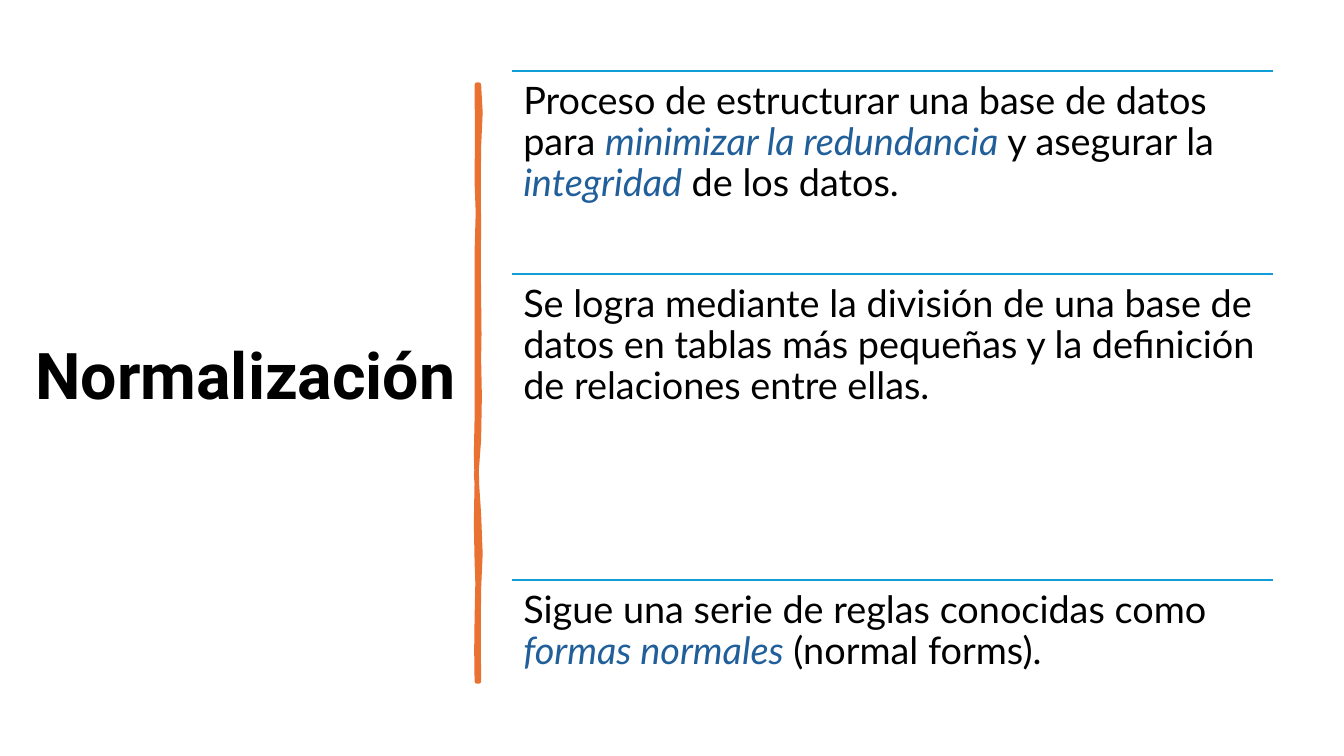
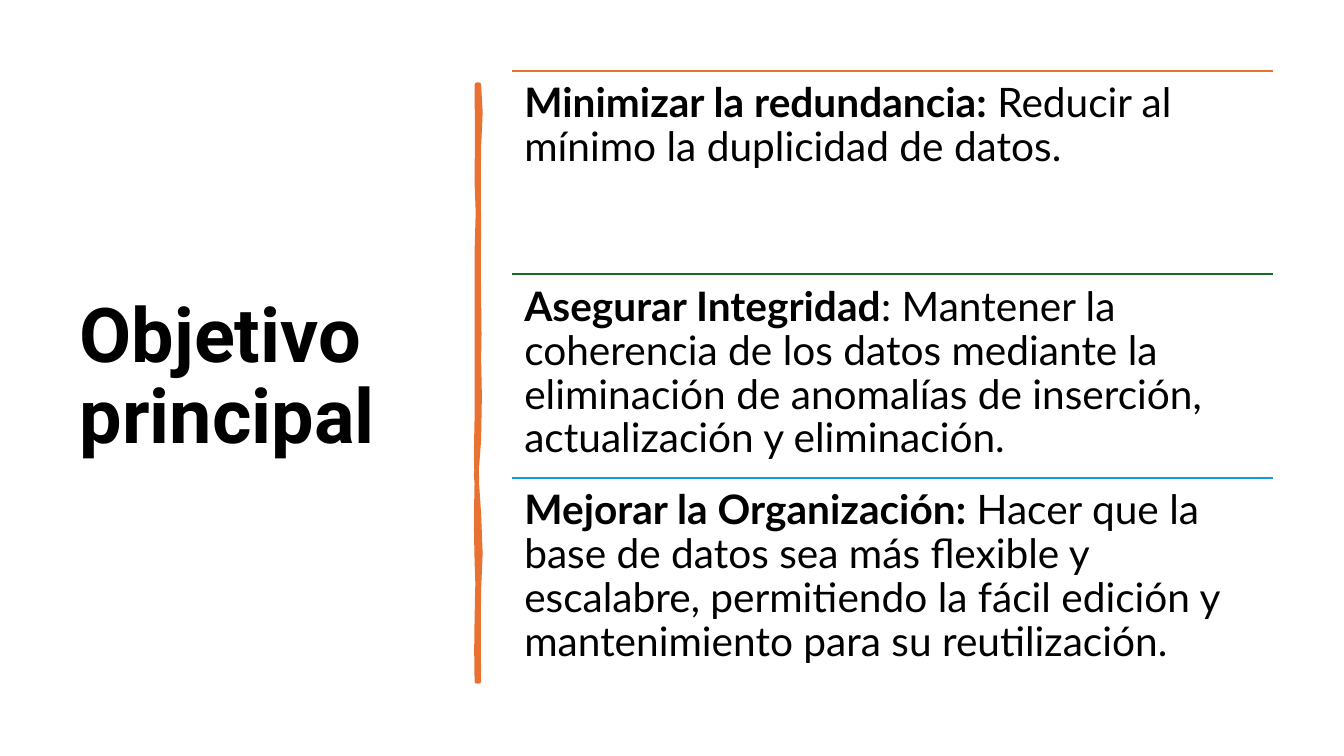
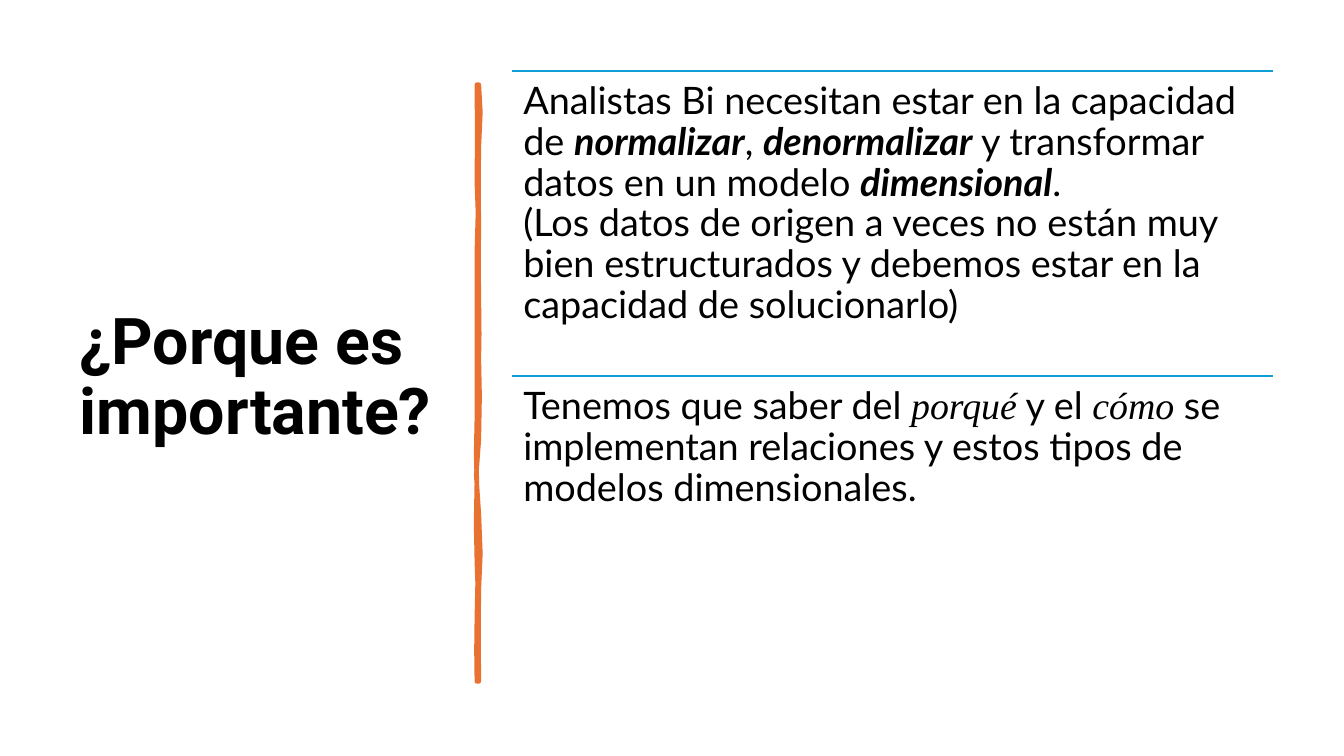
from pptx import Presentation
from pptx.dml.color import RGBColor
from pptx.enum.shapes import MSO_CONNECTOR
from pptx.enum.text import MSO_ANCHOR, MSO_AUTO_SIZE, PP_ALIGN
from pptx.oxml.ns import qn
from pptx.util import Emu, Pt
from lxml.etree import SubElement

PX = 9144
LEFT, TOP, WIDTH = 508, 70, 755
TALL = 611
INK = {
    "black": "000000",
    "blue": "215F9A",
    "cyan": "0F9ED5",
    "green": "196B24",
    "orange": "E97132",
}
STYLES = {
    "plain": {},
    "bold": {"bold": True},
    "strong": {"bold": True, "italic": True},
    "accent": {"shade": "blue", "italic": True},
    "serif": {"font": "Times New Roman", "italic": True},
}
START = (475, 84)
CURVES = [
    (477, 102, 477, 119, 475, 146), (473, 173, 476, 195, 475, 226),
    (474, 257, 475, 262, 475, 294), (474, 325, 477, 342, 475, 356),
    (473, 370, 479, 414, 475, 436), (471, 457, 472, 484, 475, 510),
    (477, 536, 477, 564, 475, 584), (473, 603, 476, 650, 475, 676),
    (474, 676, 473, 676, 473, 676), (474, 646, 471, 644, 473, 613),
    (474, 583, 474, 570, 473, 557), (472, 544, 472, 495, 473, 477),
    (473, 459, 471, 445, 473, 415), (474, 386, 472, 373, 473, 335),
    (474, 298, 472, 281, 473, 250), (474, 218, 475, 200, 473, 181),
    (470, 163, 477, 104, 473, 84),
]


def px(size):
    return Emu(round(size * PX))


def color(name):
    return RGBColor.from_string(INK[name])


def style(run, size, font="Lato", shade="black", bold=False, italic=False):
    run.font.name = font
    run.font.size = Pt(size)
    run.font.bold = bold
    run.font.italic = italic
    run.font.color.rgb = color(shade)


def add_title(slide, text, left, width, size):
    title = slide.shapes.title
    title.left, title.top = px(left), px(TOP)
    title.width, title.height = px(width), px(TALL)
    frame = title.text_frame
    frame.text = text
    frame.word_wrap = True
    frame.auto_size = MSO_AUTO_SIZE.NONE
    frame.vertical_anchor = MSO_ANCHOR.MIDDLE
    par = frame.paragraphs[0]
    par.alignment = PP_ALIGN.LEFT
    par.line_spacing = 0.9
    style(par.runs[0], size, "Roboto", bold=True)


def trace(start, curves, steps=2):
    points = []
    x, y = start
    for ax, ay, bx, by, cx, cy in curves:
        for step in range(1, steps + 1):
            t = step / steps
            u = 1 - t
            mix = (u ** 3, 3 * u * u * t, 3 * u * t * t, t ** 3)
            points.append(tuple(
                px(sum(m * v for m, v in zip(mix, axis)))
                for axis in ((x, ax, bx, cx), (y, ay, by, cy))
            ))
        x, y = cx, cy
    return points


def add_brush(slide):
    x, y = START
    form = slide.shapes.build_freeform(px(x), px(y), scale=1.0)
    form.add_line_segments(trace(START, CURVES), close=True)
    brush = form.convert_to_shape()
    brush.shadow.inherit = False
    brush.fill.solid()
    brush.fill.fore_color.rgb = color("orange")
    brush.line.color.rgb = color("orange")
    brush.line.width = Pt(3.25)
    SubElement(brush.line._get_or_add_ln(), qn("a:round"))


def add_rule(slide, top, shade):
    rule = slide.shapes.add_connector(
        MSO_CONNECTOR.STRAIGHT, px(LEFT), px(top), px(LEFT + WIDTH), px(top))
    rule.line.color.rgb = color(shade)
    rule.line.width = Pt(1.5)
    SubElement(rule._element.spPr, qn("a:effectLst"))


def add_text(slide, top, height, parts, size, inset):
    box = slide.shapes.add_textbox(px(LEFT), px(top), px(WIDTH), px(height))
    frame = box.text_frame
    frame.word_wrap = True
    frame.margin_left = frame.margin_right = px(inset)
    frame.margin_top = frame.margin_bottom = px(inset)
    par = frame.paragraphs[0]
    par.line_spacing = 0.9
    for kind, text in parts:
        if kind == "break":
            par.add_line_break()
            continue
        run = par.add_run()
        run.text = text
        style(run, size, **STYLES[kind])


def add_slide(deck, title, rows, size=27, inset=11):
    slide = deck.slides.add_slide(deck.slide_layouts[5])
    add_title(slide, *title)
    add_brush(slide)
    top = TOP
    for height, shade, parts in rows:
        add_rule(slide, top, shade)
        add_text(slide, top, height, parts, size, inset)
        top += height


def main():
    deck = Presentation()
    deck.slide_width, deck.slide_height = px(1333), px(750)
    add_slide(deck, ("Normalización", 25, 450, 46), [
        (202, "cyan", [
            ("plain", "Proceso de estructurar una base de datos para "),
            ("accent", "minimizar la redundancia "),
            ("plain", "y asegurar la "),
            ("accent", "integridad"),
            ("plain", " de los datos."),
        ]),
        (303, "cyan", [
            ("plain", "Se logra mediante la división de una base de datos en "
                      "tablas más pequeñas y la definición de relaciones "
                      "entre ellas."),
        ]),
        (101, "cyan", [
            ("plain", "Sigue una serie de reglas conocidas como "),
            ("accent", "formas normales"),
            ("plain", " (normal forms)."),
        ]),
    ])
    add_slide(deck, ("Objetivo principal", 69, 374, 54), [
        (202, "orange", [
            ("bold", "Minimizar la redundancia: "),
            ("plain", "Reducir al mínimo la duplicidad de datos."),
        ]),
        (202, "green", [
            ("bold", "Asegurar Integridad"),
            ("plain", ": Mantener la coherencia de los datos mediante la "
                      "eliminación de anomalías de inserción, actualización "
                      "y eliminación."),
        ]),
        (202, "cyan", [
            ("bold", "Mejorar la Organización: "),
            ("plain", "Hacer que la base de datos sea más flexible y "
                      "escalabre, permitiendo la fácil edición y "
                      "mantenimiento para su reutilización."),
        ]),
    ], size=29, inset=12)
    add_slide(deck, ("¿Porque es importante?", 69, 374, 46), [
        (303, "cyan", [
            ("plain", "Analistas Bi necesitan estar en la capacidad de "),
            ("strong", "normalizar"),
            ("plain", ", "),
            ("strong", "denormalizar"),
            ("plain", " y transformar datos en un modelo "),
            ("strong", "dimensional"),
            ("plain", ". "),
            ("break", ""),
            ("plain", "(Los datos de origen a veces no están muy bien "
                      "estructurados y debemos estar en la capacidad de "
                      "solucionarlo)"),
        ]),
        (303, "cyan", [
            ("plain", "Tenemos que saber del "),
            ("serif", "porqué"),
            ("plain", " y el "),
            ("serif", "cómo"),
            ("plain", " se implementan relaciones y estos tipos de modelos "
                      "dimensionales."),
        ]),
    ])
    deck.save("out.pptx")


if __name__ == "__main__":
    main()
